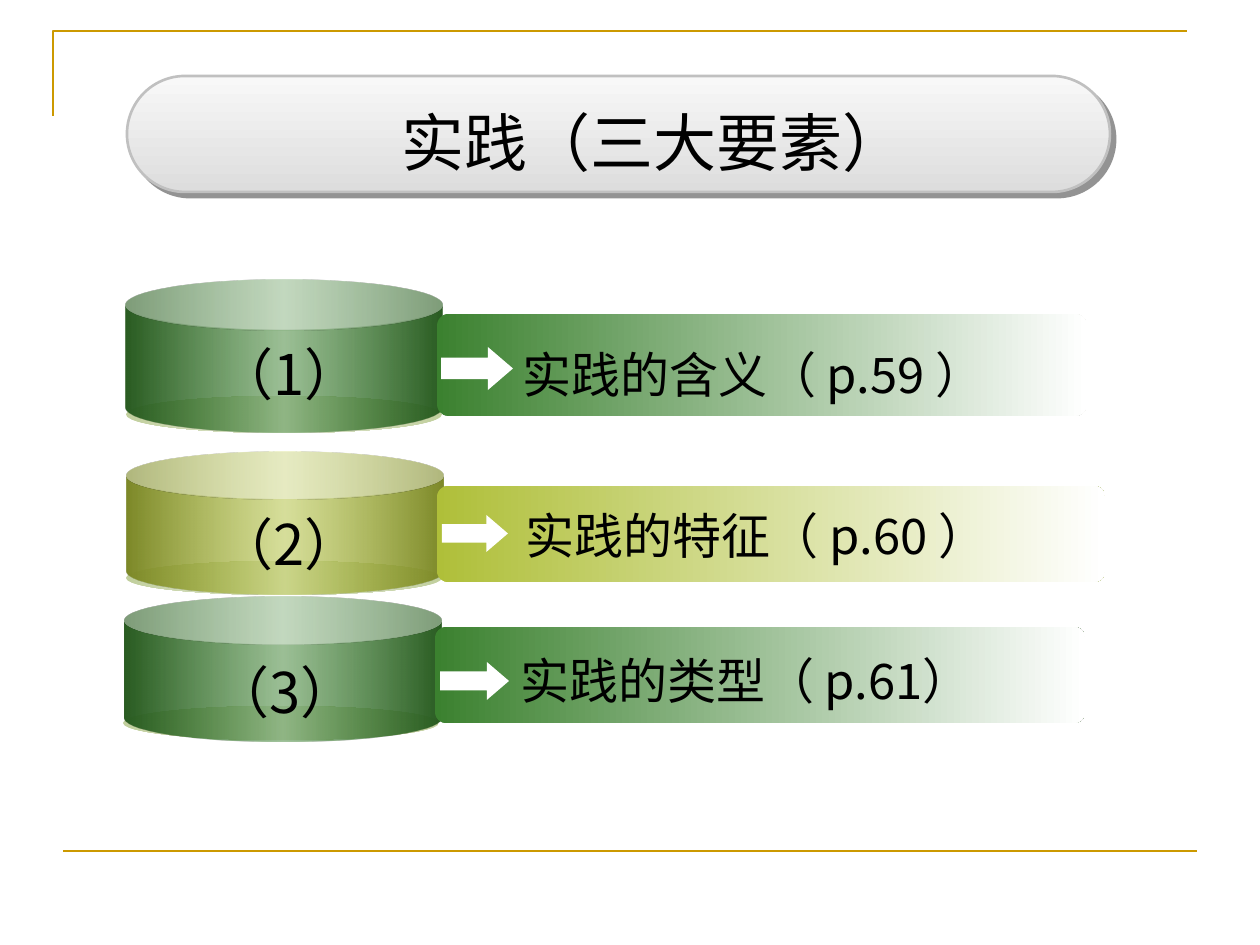
from lxml.etree import SubElement
from pptx import Presentation
from pptx.dml.color import RGBColor
from pptx.enum.shapes import MSO_CONNECTOR, MSO_SHAPE
from pptx.enum.text import MSO_AUTO_SIZE, PP_ALIGN
from pptx.oxml.ns import qn
from pptx.util import Pt

PX = 914400 / 126
FONT = "Noto Sans CJK SC"
COLORS = {
    "gold": "CC9900", "black": "000000", "white": "FFFFFF",
    "green": "3B812F", "dark green": "2A5C22",
    "olive": "AFBF39", "dark olive": "7D8929",
    "rim": "C1CF9D", "pale rim": "E7ECDC",
    "light grey": "F8F8F8", "mid grey": "DDDDDD",
    "border grey": "C0C0C0", "shadow": "292929",
}


def emu(*lengths):
    return [round(length * PX) for length in lengths]


def rgb(name):
    return RGBColor.from_string(COLORS[name])


def add_color(parent, name, opacity=100):
    color = SubElement(parent, qn("a:srgbClr"), val=COLORS[name])
    if opacity < 100:
        SubElement(color, qn("a:alpha"), val=str(opacity * 1000))


class SlideBuilder:
    def __init__(self, deck):
        self.slide = deck.slides.add_slide(deck.slide_layouts[6])
        self.shapes = self.slide.shapes

    def rule(self, x1, y1, x2, y2):
        line = self.shapes.add_connector(MSO_CONNECTOR.STRAIGHT, *emu(x1, y1, x2, y2))
        line.line.color.rgb = rgb("gold")
        line.line.width = Pt(1.5)
        SubElement(line._element.spPr, qn("a:effectLst"))

    def corner(self, start, *points):
        """Draw an open outline through the points."""
        builder = self.shapes.build_freeform(*start, scale=PX)
        builder.add_line_segments(points, close=False)
        outline = builder.convert_to_shape()
        outline.shadow.inherit = False
        outline.fill.background()
        outline.line.color.rgb = rgb("gold")
        outline.line.width = Pt(1.5)

    def shape(self, kind, place, stops, adjustments=(), angle=0):
        """Add a borderless shape; stops are (position, colour, opacity), one means solid."""
        shape = self.shapes.add_shape(kind, *emu(*place))
        shape.shadow.inherit = False
        shape.line.fill.background()
        for index, value in enumerate(adjustments):
            shape.adjustments[index] = value
        if len(stops) == 1:
            shape.fill.solid()
            shape.fill.fore_color.rgb = rgb(stops[0][1])
            return shape
        shape.fill.gradient()
        shape.fill.gradient_angle = angle
        stop_list = shape._element.spPr.find(".//" + qn("a:gsLst"))
        stop_list.clear()
        for position, color, opacity in stops:
            stop = SubElement(stop_list, qn("a:gs"), pos=str(position * 1000))
            add_color(stop, color, opacity)
        return shape

    def pill(self, place):
        pill = self.shape(MSO_SHAPE.ROUNDED_RECTANGLE, place,
                          [(0, "light grey", 100), (100, "mid grey", 100)], [0.5], 270)
        pill.line.color.rgb = rgb("border grey")
        pill.line.width = Pt(1.5)
        effects = pill._element.spPr.find(qn("a:effectLst"))
        shadow = SubElement(effects, qn("a:outerShdw"), blurRad="0", dist=str(Pt(4.2)),
                            dir="2700000", algn="ctr", rotWithShape="0")
        add_color(shadow, "shadow", 50)

    def text(self, place, words, size, align=PP_ALIGN.LEFT):
        box = self.shapes.add_textbox(*emu(*place))
        frame = box.text_frame
        frame.word_wrap = True
        frame.auto_size = MSO_AUTO_SIZE.SHAPE_TO_FIT_TEXT
        frame.text = words
        para = frame.paragraphs[0]
        para.alignment = align
        for span in para.runs:
            span.font.name = FONT
            span.font.size = Pt(size)
            span.font.color.rgb = rgb("black")
            SubElement(span._r.get_or_add_rPr(), qn("a:ea"), typeface=FONT)

    def drum(self, rim, can, color):
        self.shape(MSO_SHAPE.OVAL, rim,
                   [(0, "rim", 100), (50, "pale rim", 100), (100, "rim", 100)])
        dark = "dark " + color
        self.shape(MSO_SHAPE.CAN, can,
                   [(0, dark, 100), (50, color, 50), (100, dark, 100)], [0.332])

    def bar(self, place, color):
        self.shape(MSO_SHAPE.ROUNDED_RECTANGLE, place,
                   [(0, color, 100), (100, "white", 100)], [0.115])

    def arrow(self, place):
        self.shape(MSO_SHAPE.RIGHT_ARROW, place, [(0, "white", 100)], [0.5, 0.583])


ELEMENTS = [
    dict(color="green", topic="实践的含义（ p.59 ）",
         rim=(126, 396, 316, 37), can=(126, 280, 316, 152), bar=(437, 314, 650, 102),
         arrow=(441, 347, 72, 43), text=(510, 338, 675, 72), label=(127, 333, 311, 81)),
    dict(color="olive", topic="实践的特征（ p.60 ）",
         rim=(126, 561, 316, 34), can=(127, 452, 316, 142), bar=(437, 486, 668, 96),
         arrow=(442, 515, 66, 37), text=(513, 499, 624, 72), label=(127, 503, 311, 81)),
    dict(color="green", topic="实践的类型（ p.61）",
         rim=(123, 706, 316, 34), can=(125, 597, 316, 144), bar=(435, 627, 650, 96),
         arrow=(440, 662, 69, 38), text=(508, 644, 596, 72), label=(123, 651, 312, 81)),
]


def main():
    deck = Presentation()
    deck.slide_width, deck.slide_height = emu(1260, 945)
    page = SlideBuilder(deck)

    page.corner((53, 116), (53, 31), (1187, 31))
    page.rule(63, 851, 1197, 851)
    page.pill((127, 76, 983, 116))
    page.text((203, 97, 886, 89), " 实践（三大要素）", 36, PP_ALIGN.CENTER)

    for number, element in enumerate(ELEMENTS, 1):
        page.drum(element["rim"], element["can"], element["color"])
        page.bar(element["bar"], element["color"])
        page.arrow(element["arrow"])
        page.text(element["text"], element["topic"], 28)
        page.text(element["label"], f" （{number}）", 32, PP_ALIGN.CENTER)

    deck.save("out.pptx")


if __name__ == "__main__":
    main()
